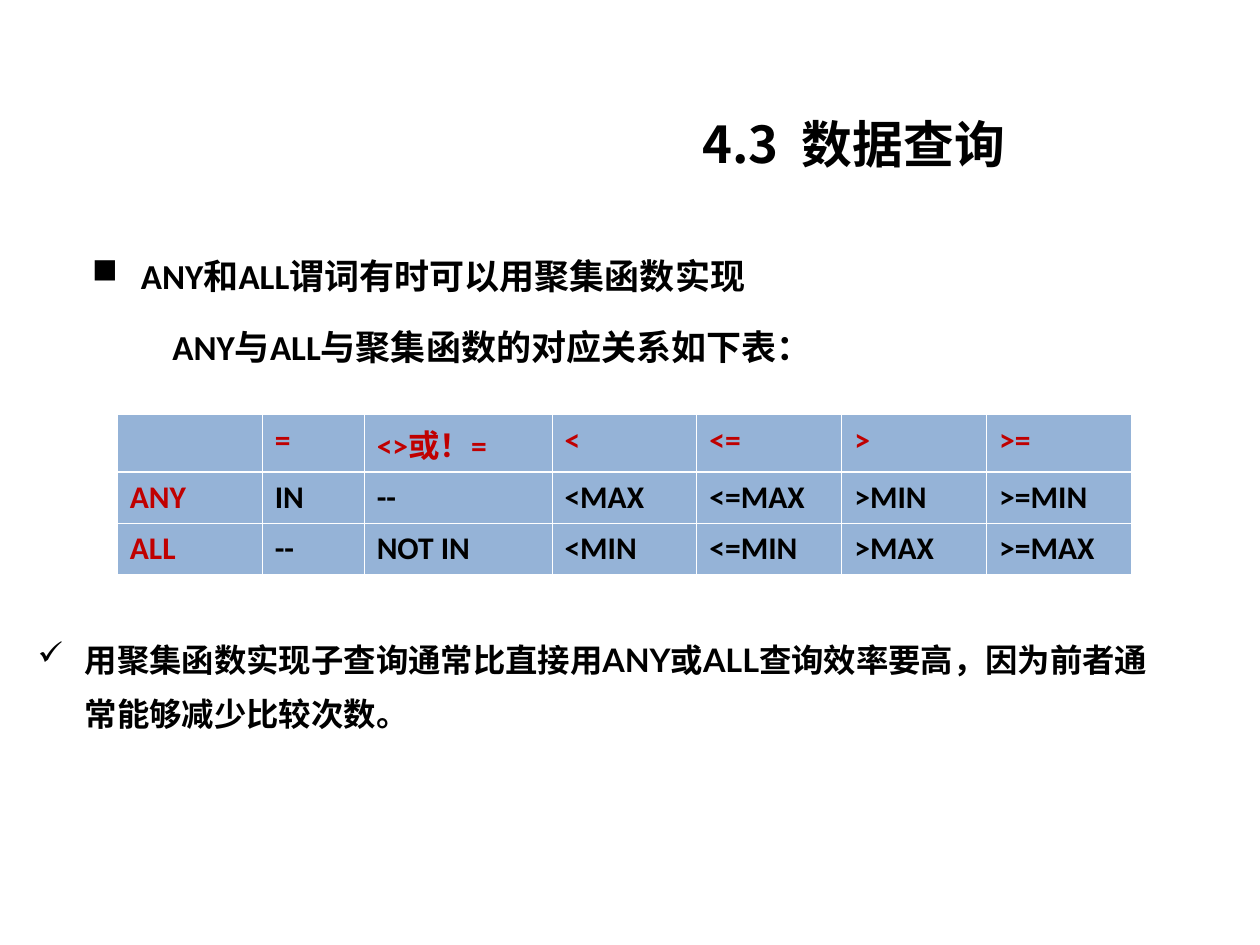
from lxml import etree
from pptx import Presentation
from pptx.dml.color import RGBColor
from pptx.enum.text import MSO_ANCHOR, PP_ALIGN
from pptx.oxml.ns import qn
from pptx.util import Pt

MIDDLE = MSO_ANCHOR.MIDDLE
CENTER = PP_ALIGN.CENTER
COLORS = {"ink": "000000", "label": "C00000", "cell": "95B3D7", "rule": "FFFFFF"}
THIN, THICK = 0.45, 1.47

COLUMN_WIDTHS = [82.8, 58.3, 107.3, 82.8, 82.8, 82.8, 82.8]
ROW_HEIGHTS = [32.7, 29.2, 29.2]
EQUIVALENTS = [
    ["", "=", "<>或！=", "<", "<=", ">", ">="],
    ["ANY", "IN", "--", "<MAX", "<=MAX", ">MIN", ">=MIN"],
    ["ALL", "--", "NOT IN", "<MIN", "<=MIN", ">MAX", ">=MAX"],
]


def rgb(name):
    return RGBColor.from_string(COLORS[name])


def style(paragraph, size, face, color="ink"):
    font = paragraph.font
    font.size, font.name, font.bold = Pt(size), face, True
    font.color.rgb = rgb(color)


def indent(paragraph, left, first, bullet=None):
    """Set the indents and, if given, the bullet of a paragraph."""
    properties = paragraph._p.get_or_add_pPr()
    properties.set("marL", str(Pt(left)))
    properties.set("indent", str(Pt(first)))
    if bullet:
        color = etree.SubElement(properties, qn("a:buClr"))
        etree.SubElement(color, qn("a:srgbClr"), val=COLORS["ink"])
        etree.SubElement(properties, qn("a:buChar"), char=bullet)


def add_frame(slide, box, wrap=True):
    frame = slide.shapes.add_textbox(*map(Pt, box)).text_frame
    frame.word_wrap = wrap
    return frame


def add_title(slide, box):
    frame = add_frame(slide, box, wrap=False)
    frame.vertical_anchor = MIDDLE
    title = frame.paragraphs[0]
    title.text = "4.3  数据查询"
    title.alignment = CENTER
    style(title, 29, "Noto Sans CJK SC")


def add_intro(slide, box):
    frame = add_frame(slide, box)
    claim, lead_in = frame.paragraphs[0], frame.add_paragraph()
    claim.text = "ANY和ALL谓词有时可以用聚集函数实现"
    lead_in.text = "ANY与ALL与聚集函数的对应关系如下表："
    lead_in.level = 1
    lead_in.space_before = Pt(5)
    claim.line_spacing = lead_in.line_spacing = 1.5
    indent(claim, 28, -28, "■")
    indent(lead_in, 78, -32)
    for paragraph in (claim, lead_in):
        style(paragraph, 20, "Calibri")


def add_borders(cell, top, bottom):
    properties = cell._tc.get_or_add_tcPr()
    sides = {"lnL": THIN, "lnR": THIN, "lnT": top, "lnB": bottom}
    for position, (side, width) in enumerate(sides.items()):
        line = etree.Element(qn(f"a:{side}"), w=str(Pt(width)))
        fill = etree.SubElement(line, qn("a:solidFill"))
        etree.SubElement(fill, qn("a:srgbClr"), val=COLORS["rule"])
        properties.insert(position, line)


def add_equivalents(slide, left, top):
    size = sum(COLUMN_WIDTHS), sum(ROW_HEIGHTS)
    table = slide.shapes.add_table(
        len(ROW_HEIGHTS), len(COLUMN_WIDTHS), *map(Pt, (left, top, *size))).table
    for column, width in zip(table.columns, COLUMN_WIDTHS):
        column.width = Pt(width)
    for row, height in zip(table.rows, ROW_HEIGHTS):
        row.height = Pt(height)
    for r, entries in enumerate(EQUIVALENTS):
        for c, entry in enumerate(entries):
            cell = table.cell(r, c)
            cell.text = entry
            cell.fill.solid()
            cell.fill.fore_color.rgb = rgb("cell")
            is_label = r == 0 or c == 0
            style(cell.text_frame.paragraphs[0], 18, "Calibri",
                  "label" if is_label else "ink")
            # The header row is set off by a thicker rule
            add_borders(cell, THICK if r == 1 else THIN, THICK if r == 0 else THIN)


def add_note(slide, box):
    frame = add_frame(slide, box)
    frame.margin_left = frame.margin_right = Pt(6.5)
    frame.margin_top = frame.margin_bottom = Pt(3.25)
    note = frame.paragraphs[0]
    note.text = "用聚集函数实现子查询通常比直接用ANY或ALL查询效率要高，因为前者通常能够减少比较次数。"
    note.line_spacing = 1.4
    indent(note, 27, -27, "✓")
    style(note, 18.5, "Lato")


def main():
    presentation = Presentation()
    presentation.slide_width, presentation.slide_height = Pt(720), Pt(540)
    slide = presentation.slides.add_slide(presentation.slide_layouts[6])
    add_note(slide, (15, 353.5, 663, 69))
    add_intro(slide, (45.4, 129.6, 660, 101.5))
    add_title(slide, (297.4, 59, 381, 45.4))
    add_equivalents(slide, 67, 237)
    presentation.save("out.pptx")


if __name__ == "__main__":
    main()
